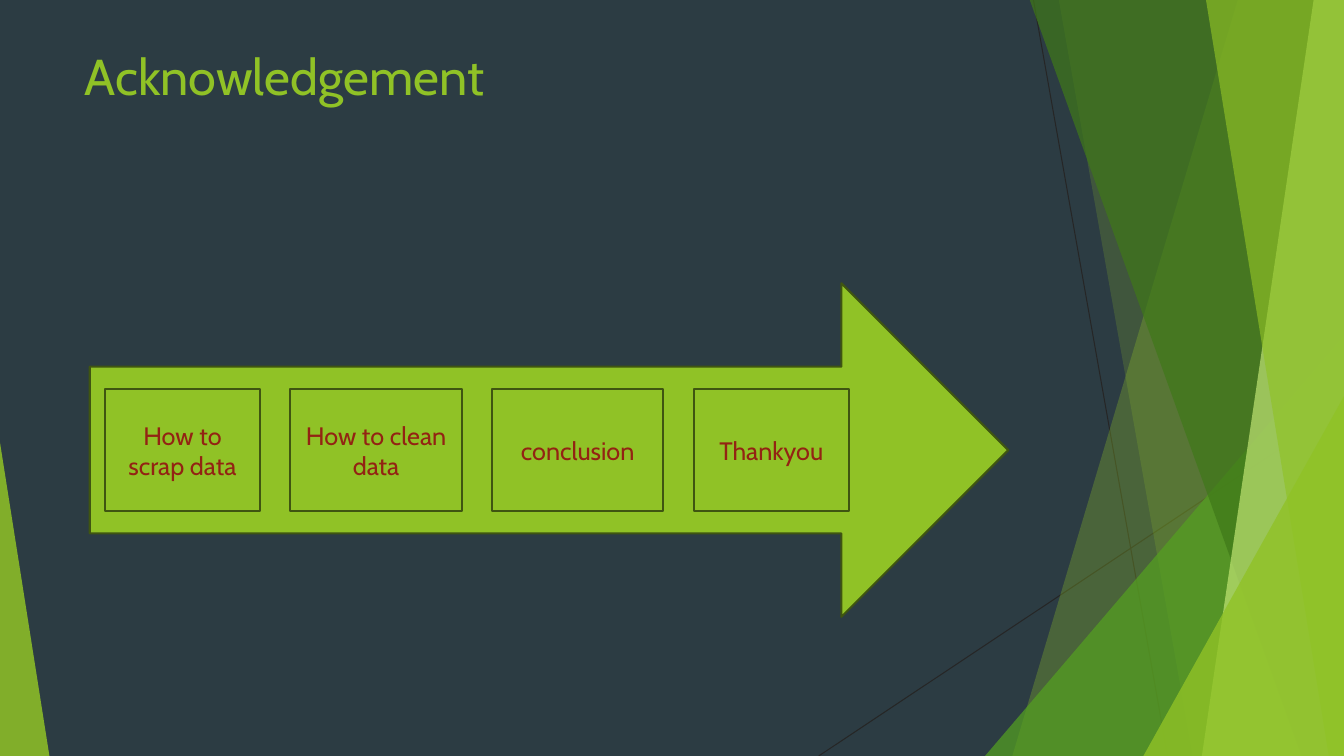
from lxml import etree
from pptx import Presentation
from pptx.dml.color import RGBColor
from pptx.enum.shapes import MSO_CONNECTOR, MSO_SHAPE
from pptx.enum.text import MSO_ANCHOR, PP_ALIGN
from pptx.oxml.ns import qn
from pptx.util import Inches, Pt

STRAIGHT = MSO_CONNECTOR.STRAIGHT
TRIANGLE = MSO_SHAPE.ISOSCELES_TRIANGLE
ARROW = MSO_SHAPE.RIGHT_ARROW
RECTANGLE = MSO_SHAPE.RECTANGLE
MIDDLE = MSO_ANCHOR.MIDDLE
TOP = MSO_ANCHOR.TOP
CENTER = PP_ALIGN.CENTER
LEFT = PP_ALIGN.LEFT

WIDTH, HEIGHT = 13.33, 7.5
FONT = "Cabin"
GREEN = "90C226"
DARK_GREEN = "3F5511"


def rgb(colour):
    return RGBColor.from_string(colour)


def paint(shape, fill, opacity=100, line=None):
    """Give a shape a flat fill, opacity in percent, and an optional outline."""
    shape.shadow.inherit = False
    shape.fill.solid()
    shape.fill.fore_color.rgb = rgb(fill)
    if opacity < 100:
        colour = shape.fill._xPr.find(qn("a:solidFill"))[0]
        etree.SubElement(colour, qn("a:alpha"), val=str(opacity * 1000))
    if line:
        shape.line.color.rgb = rgb(line)
        shape.line.width = Pt(1.5)
    else:
        shape.line.fill.background()


presentation = Presentation()
presentation.slide_width = Inches(WIDTH)
presentation.slide_height = Inches(HEIGHT)
slide = presentation.slides.add_slide(presentation.slide_layouts[5])
slide.background.fill.solid()
slide.background.fill.fore_color.rgb = rgb("2C3C43")
shapes = slide.shapes

# Thin lines behind the facets
for ends in [(10.25, 0, 11.58, HEIGHT), (WIDTH, 4.03, 8.12, HEIGHT)]:
    line = shapes.add_connector(STRAIGHT, *[Inches(value) for value in ends])
    line.line.color.rgb = rgb("262626")
    line.line.width = Pt(0.75)
    etree.SubElement(line._element.spPr, qn("a:effectLst"))

# Bands reach the right edge: (top x, bottom x).
# Triangles stand on the bottom edge: (left, top, width, apex position).
facets = [
    ((12.28, 10.04), GREEN, 30),
    ((10.5, 11.83), GREEN, 20),
    ((9.77, 3.33, 3.56, 1), "54A021", 72),
    ((10.21, 12.91), "3F7819", 70),
    ((13.03, 11.92), "C0E474", 70),
    ((11.96, 13.18), GREEN, 65),
    ((11.34, 3.93, 1.99, 1), GREEN, 80),
    ((0, 4.39, 0.49, 0), GREEN, 85),
]
for outline, colour, opacity in facets:
    if len(outline) == 2:
        top_x, bottom_x = outline
        builder = shapes.build_freeform(Inches(top_x), Inches(-0.01))
        corners = [(WIDTH, -0.01), (WIDTH, HEIGHT), (bottom_x, HEIGHT)]
        builder.add_line_segments([(Inches(x), Inches(y)) for x, y in corners])
        facet = builder.convert_to_shape()
    else:
        left, top, width, apex = outline
        facet = shapes.add_shape(TRIANGLE, Inches(left), Inches(top),
                                 Inches(width), Inches(HEIGHT - top))
        facet.adjustments[0] = apex
    paint(facet, colour, opacity)

title = shapes.title
title.left, title.top = Inches(0.74), Inches(0.4)
title.width, title.height = Inches(9.4), Inches(1.44)
title.text_frame.text = "Acknowledgement"
title.text_frame.vertical_anchor = TOP
paragraph = title.text_frame.paragraphs[0]
paragraph.alignment = LEFT
paragraph.font.name = FONT
paragraph.font.size = Pt(36)
paragraph.font.color.rgb = rgb(GREEN)

arrow = shapes.add_shape(ARROW, Inches(0.89), Inches(2.81), Inches(9.11), Inches(3.31))
paint(arrow, GREEN, line=DARK_GREEN)

steps = [
    ("How to scrap data", 1.04, 1.54),
    ("How to clean data", 2.88, 1.7),
    ("conclusion", 4.88, 1.7),
    ("Thankyou", 6.88, 1.54),
]
for text, left, width in steps:
    box = shapes.add_shape(RECTANGLE, Inches(left), Inches(3.86), Inches(width), Inches(1.21))
    paint(box, GREEN, line=DARK_GREEN)
    box.text_frame.text = text
    box.text_frame.word_wrap = True
    box.text_frame.vertical_anchor = MIDDLE
    paragraph = box.text_frame.paragraphs[0]
    paragraph.alignment = CENTER
    paragraph.font.name = FONT
    paragraph.font.size = Pt(18)
    paragraph.font.color.rgb = rgb("932313")

presentation.save("out.pptx")
